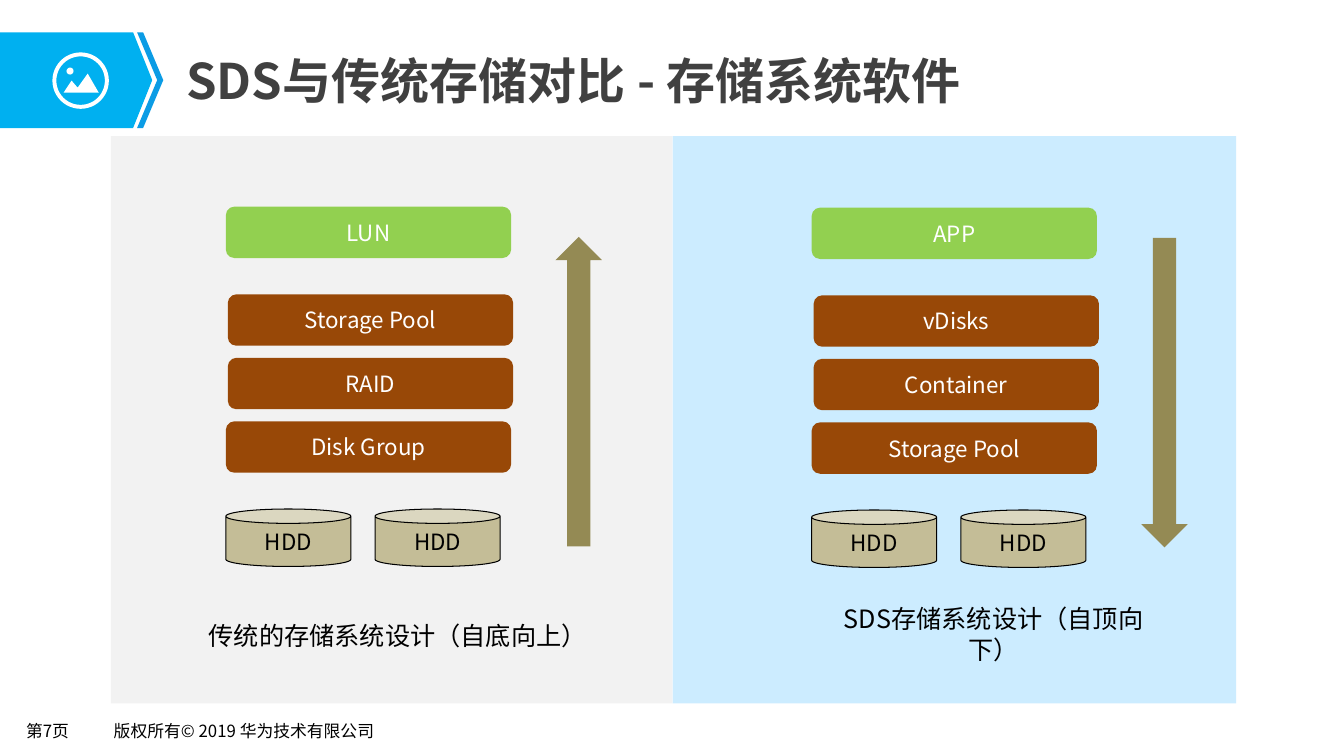
from dataclasses import dataclass
from pptx import Presentation
from pptx.dml.color import RGBColor
from pptx.enum.shapes import MSO_SHAPE
from pptx.enum.text import MSO_ANCHOR, PP_ALIGN
from pptx.oxml.ns import qn
from pptx.util import Inches, Pt
from lxml.etree import SubElement


@dataclass(frozen=True)
class Theme:
    font: str = "Noto Sans CJK SC"
    title_size: int = 35
    caption_size: int = 18
    label_size: int = 16
    footer_size: int = 12
    black: str = "000000"
    white: str = "FFFFFF"
    title: str = "404040"
    banner: str = "00B0F0"
    chevron: str = "0B9CE5"
    traditional: str = "F2F2F2"
    sds: str = "CCECFF"
    top_layer: str = "92D050"
    layer: str = "984807"
    disk: str = "C4BD97"
    arrow: str = "948A54"


@dataclass(frozen=True)
class Box:
    x: float
    y: float
    w: float
    h: float

    def inner(self, dx, dy, w, h):
        return Box(self.x + dx, self.y + dy, w, h)

    def lengths(self):
        return [Inches(v) for v in (self.x, self.y, self.w, self.h)]


THEME = Theme()


def paint(sp, fill, line=None):
    sp.shadow.inherit = False
    sp.fill.solid()
    sp.fill.fore_color.rgb = RGBColor.from_string(fill)
    if line:
        sp.line.color.rgb = RGBColor.from_string(line)
        sp.line.width = Pt(0.75)
    else:
        sp.line.fill.background()


def write(sp, text, size, color, bold=False, align=PP_ALIGN.CENTER):
    tf = sp.text_frame
    tf.word_wrap = True
    tf.vertical_anchor = MSO_ANCHOR.MIDDLE
    p = tf.paragraphs[0]
    p.alignment = align
    r = p.add_run()
    r.text = text
    r.font.size = Pt(size)
    r.font.bold = bold
    r.font.name = THEME.font
    r.font.color.rgb = RGBColor.from_string(color)
    SubElement(r.font._element, qn("a:ea")).set("typeface", THEME.font)


def add_block(shapes, kind, box, fill, line=None):
    sp = shapes.add_shape(kind, *box.lengths())
    paint(sp, fill, line)
    return sp


def add_text(shapes, box, text, size, color, **style):
    sp = shapes.add_textbox(*box.lengths())
    write(sp, text, size, color, **style)


def add_outline(shapes, box, points, fill):
    corners = [(Inches(box.x + dx), Inches(box.y + dy)) for dx, dy in points]
    builder = shapes.build_freeform(*corners[0])
    builder.add_line_segments(corners[1:], close=True)
    paint(builder.convert_to_shape(), fill)


def add_header(shapes, box):
    mid, tip, base = box.h / 2, 1.51, 1.32
    add_outline(shapes, box, [(base, box.h), (0, box.h), (0, 0), (base, 0), (tip, mid)],
                THEME.banner)
    add_outline(shapes, box, [(1.42, 0), (1.36, 0), (1.56, mid), (1.36, box.h),
                              (1.42, box.h), (1.62, mid)], THEME.chevron)
    ring = add_block(shapes, MSO_SHAPE.DONUT, box.inner(0.52, 0.2, 0.56, 0.56), THEME.white)
    ring.adjustments[0] = 0.07
    add_outline(shapes, box, [(0.63, 0.6), (0.71, 0.48), (0.77, 0.55), (0.87, 0.41),
                              (0.98, 0.6)], THEME.white)
    add_block(shapes, MSO_SHAPE.OVAL, box.inner(0.66, 0.35, 0.07, 0.07), THEME.white)
    add_text(shapes, box.inner(1.75, 0.12, 10.75, 0.7), "SDS与传统存储对比 - 存储系统软件",
             THEME.title_size, THEME.title, bold=True, align=PP_ALIGN.LEFT)


def add_footer(shapes, box):
    for dx, w, text in ((0, 0.85, "第7页"), (0.87, 3.2, "版权所有© 2019 华为技术有限公司")):
        add_text(shapes, box.inner(dx, 0, w, box.h), text, THEME.footer_size,
                 THEME.black, align=PP_ALIGN.LEFT)


def add_stack(shapes, box, layers, caption, caption_box, turn):
    group = shapes.add_group_shape().shapes
    tops = [0] + [0.87 + 0.63 * i for i in range(3)]
    shifts = (0, 0.02, 0.02, 0)
    for i, (text, dx, dy) in enumerate(zip(layers, shifts, tops)):
        fill = THEME.layer if i else THEME.top_layer
        sp = add_block(group, MSO_SHAPE.ROUNDED_RECTANGLE, box.inner(dx, dy, 2.83, 0.51), fill)
        write(sp, text, THEME.label_size, THEME.white)
    arrow = add_block(group, MSO_SHAPE.UP_ARROW, box.inner(3.27, 0.3, 0.46, 3.07), THEME.arrow)
    arrow.rotation = turn
    for i in range(2):
        sp = add_block(group, MSO_SHAPE.CAN, box.inner(1.48 * i, 3, 1.24, 0.57),
                       THEME.disk, THEME.black)
        write(sp, "HDD", THEME.label_size, THEME.black)
    add_text(group, caption_box, caption, THEME.caption_size, THEME.black)


def main():
    prs = Presentation()
    prs.slide_width, prs.slide_height = Inches(13.33), Inches(7.5)
    s = prs.slides.add_slide(prs.slide_layouts[6])
    shapes = s.shapes
    add_footer(shapes, Box(0.16, 7.1, 4.07, 0.29))
    add_header(shapes, Box(0, 0.32, 12.5, 0.95))
    add_block(shapes, MSO_SHAPE.RECTANGLE, Box(6.67, 1.35, 5.59, 5.63), THEME.sds)
    add_block(shapes, MSO_SHAPE.RECTANGLE, Box(1.1, 1.35, 5.57, 5.63), THEME.traditional)
    add_stack(shapes, Box(2.24, 2.05, 3.73, 3.57),
              ("LUN", "Storage Pool", "RAID", "Disk Group"),
              "传统的存储系统设计（自底向上）", Box(1.85, 6.1, 4.19, 0.4), 0)
    add_stack(shapes, Box(8.05, 2.06, 3.73, 3.57),
              ("APP", "vDisks", "Container", "Storage Pool"),
              "SDS存储系统设计（自顶向下）", Box(8.08, 6.09, 3.55, 0.4), 180)
    prs.save("out.pptx")


if __name__ == "__main__":
    main()
